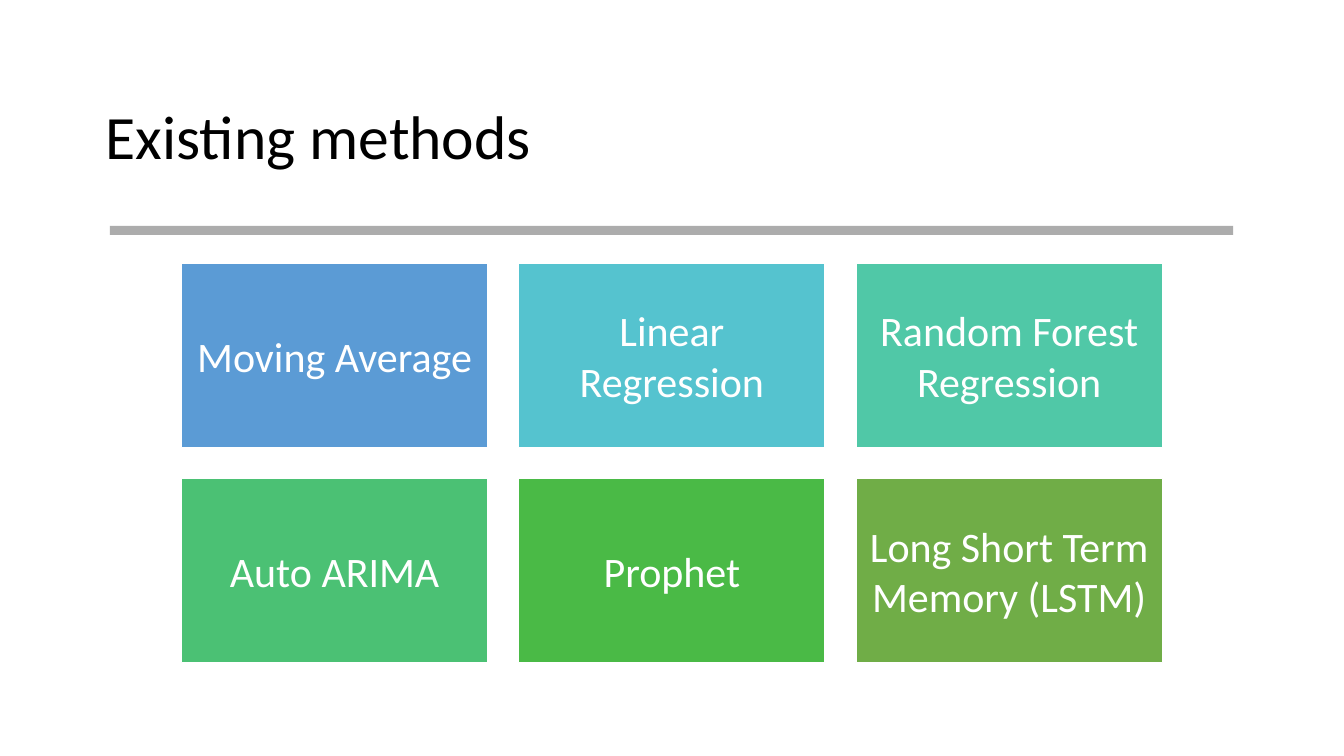
from typing import NamedTuple

from lxml import etree
from pptx import Presentation
from pptx.dml.color import RGBColor
from pptx.enum.shapes import MSO_SHAPE
from pptx.enum.text import MSO_ANCHOR, PP_ALIGN
from pptx.oxml.ns import qn
from pptx.util import Emu, Pt

RECT = MSO_SHAPE.RECTANGLE
MIDDLE = MSO_ANCHOR.MIDDLE
LEFT, CENTER = PP_ALIGN.LEFT, PP_ALIGN.CENTER

SCALE = 9144  # EMU per px, 100 px to the inch
FONT = "Calibri"
COLORS = {
    "black": "000000",
    "white": "FFFFFF",
    "gray": "808080",
    "blue": "5B9BD5",
    "cyan": "55C3CF",
    "teal": "50C8A7",
    "mint": "4BC174",
    "green": "4ABA46",
    "olive": "70AD47",
}


class Box(NamedTuple):
    left: int
    top: int
    width: int
    height: int


class Method(NamedTuple):
    name: str
    color: str


METHODS = [
    Method("Moving Average", "blue"),
    Method("Linear Regression", "cyan"),
    Method("Random Forest Regression", "teal"),
    Method("Auto ARIMA", "mint"),
    Method("Prophet", "green"),
    Method("Long Short Term Memory (LSTM)", "olive"),
]
COLS = 3
TILE = Box(180, 261, 304, 183)
GAP = 30.5


def px(value: float) -> Emu:
    return Emu(round(value * SCALE))


def rgb(name: str) -> RGBColor:
    return RGBColor.from_string(COLORS[name])


def put_text(shape, text: str, *, size: int, color: str, align=LEFT,
             pad: tuple[int, int] = (10, 5), space: float = 1.0) -> None:
    """Fill the shape with one paragraph; pad is the side and top inset."""
    frame = shape.text_frame
    frame.word_wrap = True
    frame.vertical_anchor = MIDDLE
    frame.margin_left = frame.margin_right = px(pad[0])
    frame.margin_top = frame.margin_bottom = px(pad[1])
    para = frame.paragraphs[0]
    para.alignment = align
    para.line_spacing = space
    run = para.add_run()
    run.text = text
    run.font.name = FONT
    run.font.size = Pt(size)
    run.font.color.rgb = rgb(color)


def add_rect(slide, box: Box, fill: str, line: str | None = None):
    shape = slide.shapes.add_shape(RECT, *map(px, box))
    shape.shadow.inherit = False
    shape.fill.solid()
    shape.fill.fore_color.rgb = rgb(fill)
    if line:
        shape.line.color.rgb = rgb(line)
        shape.line.width = Pt(1)
    else:
        shape.line.fill.background()
    return shape


def set_alpha(shape, percent: int) -> None:
    color = shape.fill._xPr.find(qn("a:solidFill"))[0]
    etree.SubElement(color, qn("a:alpha"), val=str(percent * 1000))


def add_tile(slide, index: int, method: Method) -> None:
    row, col = divmod(index, COLS)
    box = TILE._replace(left=TILE.left + col * (TILE.width + GAP),
                        top=TILE.top + row * (TILE.height + GAP))
    tile = add_rect(slide, box, method.color, "white")
    put_text(tile, method.name, size=30, color="white", align=CENTER,
             pad=(12, 12))


def main() -> None:
    deck = Presentation()
    deck.slide_width, deck.slide_height = px(1333), px(750)
    slide = deck.slides.add_slide(deck.slide_layouts[6])

    title = slide.shapes.add_textbox(*map(px, Box(95, 66, 1143, 145)))
    put_text(title, "Existing methods", size=44, color="black", space=0.9)

    rule = add_rect(slide, Box(109, 224, 1114, 9), "gray")
    set_alpha(rule, 65)

    for index, method in enumerate(METHODS):
        add_tile(slide, index, method)

    deck.save("out.pptx")


if __name__ == "__main__":
    main()
